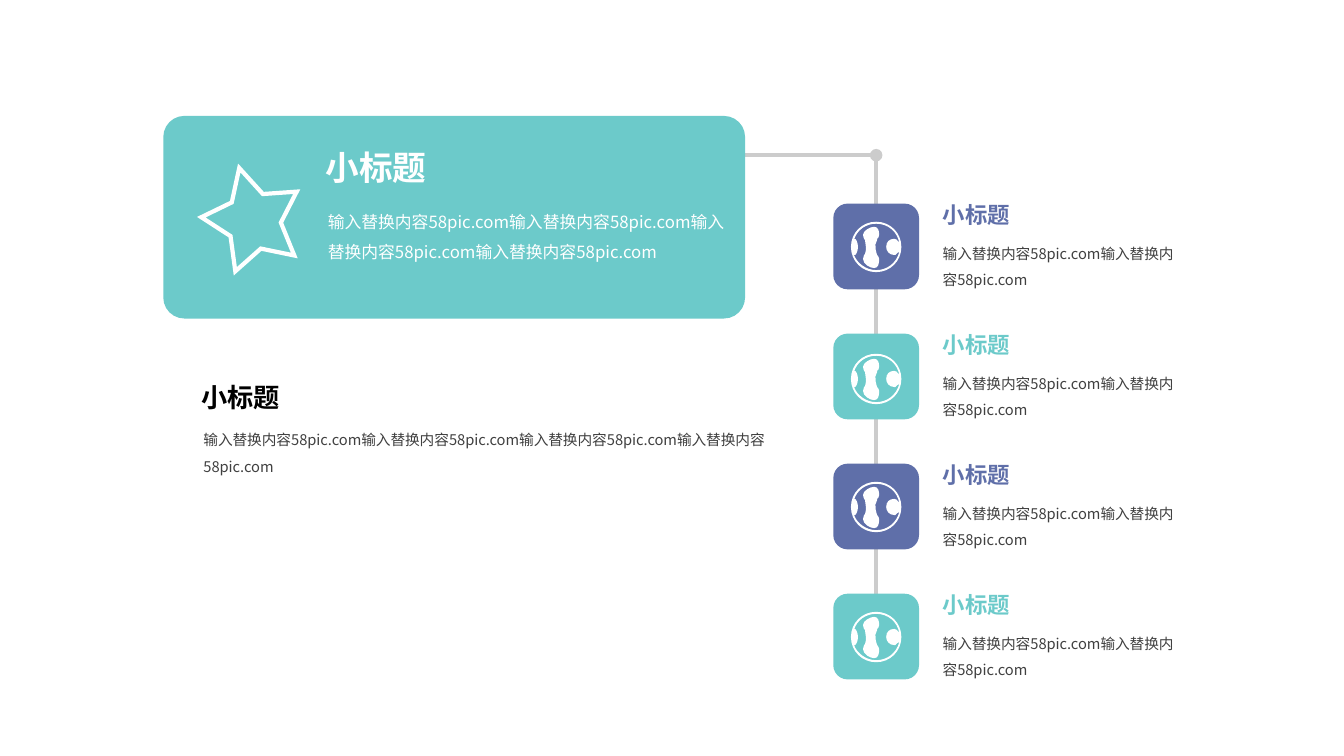
from dataclasses import dataclass

from lxml import etree
from pptx import Presentation
from pptx import util as u
from pptx.dml.color import RGBColor
from pptx.enum import shapes, text
from pptx.oxml.ns import qn


@dataclass(frozen=True)
class Theme:
    """Colours, font and type sizes of the slide."""
    teal: str = "6CCACA"
    indigo: str = "5F6FA9"
    grey: str = "CCCCCC"
    ink: str = "404040"
    black: str = "000000"
    white: str = "FFFFFF"
    font: str = "Noto Sans CJK SC"
    card_title: float = 24
    card_body: float = 12
    note_title: float = 18.7
    step_title: float = 16
    body: float = 10.5
    line: float = 3


@dataclass(frozen=True)
class Box:
    """A rectangle in inches."""
    left: float
    top: float
    width: float
    height: float

    def lengths(self) -> list:
        """Return the four sides as lengths."""
        return [u.Inches(v) for v in (self.left, self.top, self.width, self.height)]


@dataclass(frozen=True)
class Label:
    """A text with its style and insets."""
    words: str
    size: float
    colour: str
    title: bool = False
    insets: tuple = (0.1, 0.05, 0.1, 0.05)
    anchor: text.MSO_ANCHOR = text.MSO_ANCHOR.TOP


@dataclass(frozen=True)
class Step:
    """A stop on the timeline."""
    colour: str
    globe_centre: float


THEME = Theme()
TITLE = "小标题"
PHRASE = "输入替换内容58pic.com"
STEPS = [Step(THEME.indigo, 2.45), Step(THEME.teal, 3.76),
         Step(THEME.indigo, 5.03), Step(THEME.teal, 6.32)]
FIRST_TOP, PITCH = 2.02, 1.29
AXIS, TILE_SIZE = 8.69, 0.85
CARD = Box(1.62, 1.15, 5.77, 2.01)
BRANCH_TOP = 1.54
GLOBE_UNIT = 0.01
GLOBE = [
    ((-2, -20), [
        (2, -20, 3, -16, 3, -12), (3, -10, 2, -9, 1, -8), (1, -8, 1, -8, 1, -7),
        (-3, -2, 1, 8, 1, 8), (2, 9, 3, 11, 3, 12), (3, 17, 2, 21, -2, 21),
        (-6, 21, -13, 17, -13, 12), (-13, 11, -12, 9, -12, 8),
        (-11, 7, -11, 7, -11, 7), (-9, 2, -11, -4, -11, -7),
        (-12, -7, -12, -8, -12, -8), (-12, -9, -13, -10, -13, -12),
        (-13, -16, -6, -20, -2, -20)]),
    ((0, -23), [
        (-10, -23, -19, -17, -22, -7), (-22, -8, -22, -8, -21, -8),
        (-20, -8, -18, -4, -18, 0), (-18, 4, -20, 8, -21, 8),
        (-22, 8, -22, 8, -22, 8), (-19, 16, -10, 23, 0, 23),
        (11, 23, 20, 16, 23, 5), (22, 6, 22, 6, 21, 6), (20, 7, 20, 7, 19, 8),
        (19, 8, 18, 8, 18, 8), (13, 8, 10, 4, 10, 0), (10, -5, 13, -8, 18, -8),
        (19, -8, 20, -8, 21, -7), (21, -7, 21, -7, 21, -6),
        (22, -6, 22, -5, 23, -4), (21, -15, 12, -23, 0, -23)]),
    ((0, -25), [
        (14, -25, 25, -14, 25, 0), (25, 14, 14, 25, 0, 25),
        (-14, 25, -25, 14, -25, 0), (-25, -14, -14, -25, 0, -25)]),
]


def rgb(colour: str) -> RGBColor:
    """Turn a hex string into a colour."""
    return RGBColor.from_string(colour)


def write(shape, label: Label) -> None:
    """Put a label into a shape."""
    frame = shape.text_frame
    frame.word_wrap = not label.title
    frame.vertical_anchor = label.anchor
    frame.margin_left, frame.margin_top, frame.margin_right, frame.margin_bottom = (
        u.Inches(inset) for inset in label.insets)
    paragraph = frame.paragraphs[0]
    paragraph.text = label.words
    paragraph.alignment = text.PP_ALIGN.LEFT
    if not label.title:
        paragraph.line_spacing = 1.5
    font = paragraph.font
    font.name, font.size, font.bold = THEME.font, u.Pt(label.size), label.title
    font.color.rgb = rgb(label.colour)
    defaults = paragraph._p.pPr.find(qn("a:defRPr"))
    etree.SubElement(defaults, qn("a:ea")).set("typeface", THEME.font)


def add_label(slide, box: Box, label: Label) -> None:
    """Add a text box."""
    write(slide.shapes.add_textbox(*box.lengths()), label)


def paint(shape, fill: str, outline: str = "") -> None:
    """Set the fill and the sharp-cornered outline of a shape."""
    shape.shadow.inherit = False
    shape.fill.solid()
    shape.fill.fore_color.rgb = rgb(fill)
    if outline:
        shape.line.color.rgb = rgb(outline)
        shape.line.width = u.Pt(THEME.line)
        etree.SubElement(shape.line._get_or_add_ln(), qn("a:miter")).set("lim", "800000")
    else:
        shape.line.fill.background()


def add_preset(slide, kind, box: Box, fill: str, outline: str = ""):
    """Add a painted preset shape."""
    shape = slide.shapes.add_shape(kind, *box.lengths())
    paint(shape, fill, outline)
    return shape


def add_line(slide, start: tuple, end: tuple, dot: bool = False):
    """Add a grey connector, with a dot at its start if asked."""
    points = [u.Inches(v) for v in (*start, *end)]
    line = slide.shapes.add_connector(shapes.MSO_CONNECTOR.STRAIGHT, *points)
    line.line.color.rgb = rgb(THEME.grey)
    line.line.width = u.Pt(THEME.line)
    if dot:
        etree.SubElement(line.line._get_or_add_ln(), qn("a:headEnd")).set("type", "oval")
    etree.SubElement(line._element.spPr, qn("a:effectLst"))
    return line


def add_globe(slide, centre_y: float) -> None:
    """Add the white globe icon, drawn with cubic curves."""
    def place(x: float, y: float) -> tuple:
        """Move a globe point onto the slide."""
        return u.Inches(AXIS + x * GLOBE_UNIT), u.Inches(centre_y + y * GLOBE_UNIT)

    builder = slide.shapes.build_freeform(*place(*GLOBE[0][0]))
    for index, (start, curves) in enumerate(GLOBE):
        if index:
            builder.move_to(*place(*start))
        builder.add_line_segments([place(*curve[4:]) for curve in curves], close=True)
    globe = builder.convert_to_shape()
    segments = list(globe._element.iter(qn("a:lnTo")))
    for segment, curve in zip(segments, [c for _, curves in GLOBE for c in curves]):
        segment.tag = qn("a:cubicBezTo")
        segment.clear()
        for x, y in zip(curve[::2], curve[1::2]):
            left, top = place(x, y)
            point = etree.SubElement(segment, qn("a:pt"))
            point.set("x", str(left - globe.left))
            point.set("y", str(top - globe.top))
    paint(globe, THEME.white)


def add_step(slide, step: Step, top: float):
    """Add one stop with its tile, globe and texts, and return the tile."""
    tile = add_preset(slide, shapes.MSO_SHAPE.ROUNDED_RECTANGLE,
                      Box(AXIS - TILE_SIZE / 2, top, TILE_SIZE, TILE_SIZE), step.colour)
    add_label(slide, Box(9.11, top - 0.17, 2.66, 0.41),
              Label(TITLE, THEME.step_title, step.colour, True, (0.24, 0, 0, 0),
                    text.MSO_ANCHOR.BOTTOM))
    add_label(slide, Box(9.11, top + 0.24, 2.66, 0.79),
              Label(PHRASE * 2, THEME.body, THEME.ink, insets=(0.24, 0.08, 0, 0)))
    add_globe(slide, step.globe_centre)
    return tile


def add_card(slide) -> None:
    """Add the teal card with its star and texts."""
    card = add_preset(slide, shapes.MSO_SHAPE.ROUNDED_RECTANGLE, CARD, THEME.teal)
    card.adjustments[0] = 0.104
    write(card, Label(PHRASE * 4, THEME.card_body, THEME.white, insets=(1.57, 0.79, 0.1, 0)))
    add_label(slide, Box(CARD.left, 1.41, 3.75, 0.5),
              Label(TITLE, THEME.card_title, THEME.white, True, (1.61, 0.05, 0.1, 0.05)))
    star = add_preset(slide, shapes.MSO_SHAPE.STAR_5_POINT,
                      Box(2.01, 1.65, 0.98, 0.98), THEME.teal, THEME.white)
    star.adjustments[0] = 0.264
    star.rotation = 345


def main() -> None:
    """Build and save the slide."""
    presentation = Presentation()
    presentation.slide_width, presentation.slide_height = u.Inches(13.33), u.Inches(7.5)
    slide = presentation.slides.add_slide(presentation.slide_layouts[6])
    corner = (AXIS, BRANCH_TOP)
    links = [add_line(slide, corner, (AXIS, FIRST_TOP + index * PITCH), dot=index == 0)
             for index in range(len(STEPS))]
    add_line(slide, (CARD.left + CARD.width, BRANCH_TOP), corner)
    add_label(slide, Box(1.9, 3.73, 1.77, 0.42),
              Label(TITLE, THEME.note_title, THEME.black, True))
    add_label(slide, Box(1.92, 4.14, 5.77, 0.63), Label(PHRASE * 4, THEME.body, THEME.ink))
    add_card(slide)
    tiles = [add_step(slide, step, FIRST_TOP + index * PITCH)
             for index, step in enumerate(STEPS)]
    for link, tile in zip(links, tiles):
        link.end_connect(tile, 0)
    for link, tile in zip(links[1:], tiles):
        link.begin_connect(tile, 2)
    presentation.save("out.pptx")


if __name__ == "__main__":
    main()
